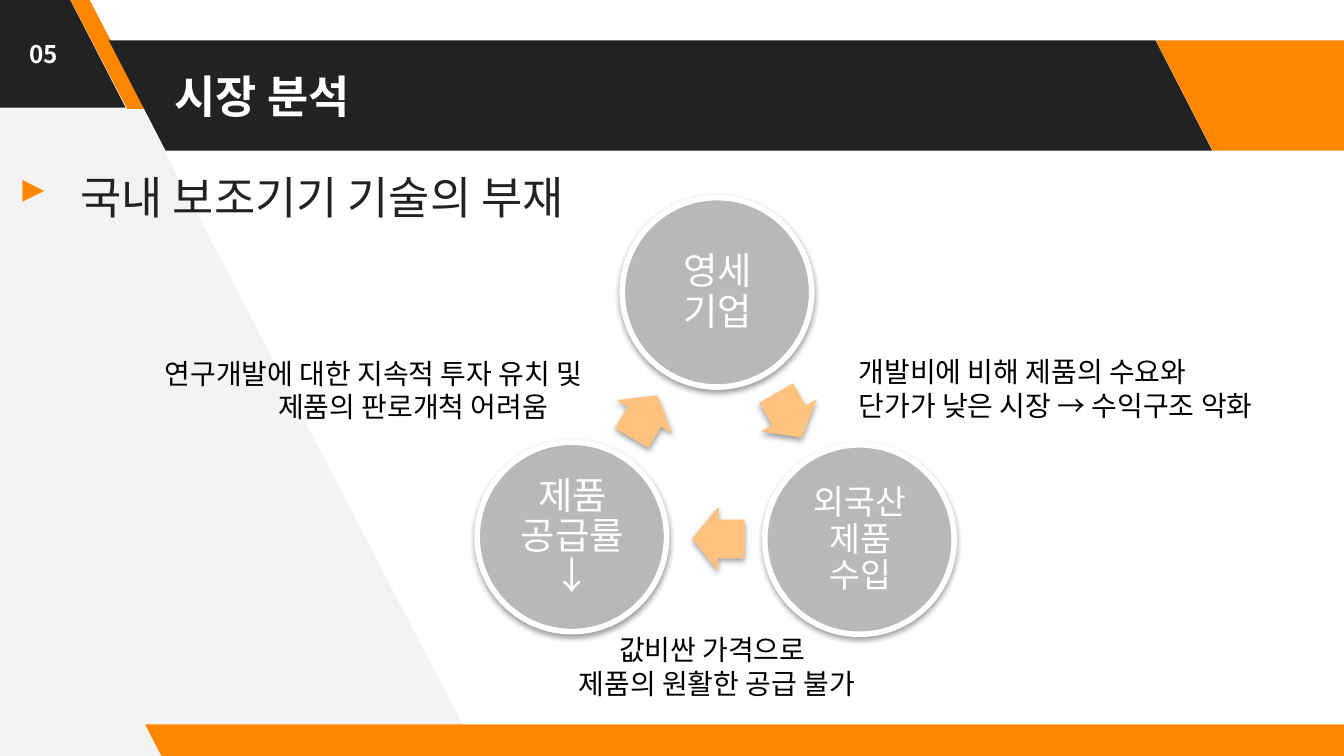
from lxml import etree
from pptx import Presentation, util as u
from pptx.dml.color import RGBColor
from pptx.enum import shapes, text
from pptx.oxml.ns import qn

PX = 4572  # 200 px to the inch
FONT = "Noto Sans CJK KR"
COLORS = {"dark": "222222", "orange": "FF8700", "peach": "FFC37F", "grey": "B8B8B8",
          "pale": "F3F3F3", "white": "FFFFFF", "black": "000000"}

deck = Presentation()
deck.slide_width, deck.slide_height = 2000 * PX, 1125 * PX
slide = deck.slides.add_slide(deck.slide_layouts[6])


def add_figure(kind, box, color, shadow=False):
    figure = slide.shapes.add_shape(kind, *[v * PX for v in box])
    figure.shadow.inherit = False
    figure.fill.solid()
    figure.fill.fore_color.rgb = RGBColor.from_string(COLORS[color])
    figure.line.fill.background()
    if shadow:
        effects = figure._element.spPr.find(qn("a:effectLst"))
        outer = etree.SubElement(effects, qn("a:outerShdw"), blurRad="40000", dist="20000",
                                 dir="5400000", rotWithShape="0")
        tint = etree.SubElement(outer, qn("a:srgbClr"), val=COLORS["black"])
        etree.SubElement(tint, qn("a:alpha"), val="38000")
    return figure


def add_lines(box, lines, size, color, align="LEFT", inset=(20, 20), bold=False,
              anchor="TOP", spacing=None):
    """Each line is (words, left indent, right indent)."""
    frame = slide.shapes.add_textbox(*[v * PX for v in box]).text_frame
    frame.word_wrap = True
    frame.vertical_anchor = getattr(text.MSO_ANCHOR, anchor)
    frame.margin_left = frame.margin_right = inset[0] * PX
    frame.margin_top = frame.margin_bottom = inset[1] * PX
    for i, (words, left_indent, right_indent) in enumerate(lines):
        paragraph = frame.add_paragraph() if i else frame.paragraphs[0]
        paragraph.text = words
        paragraph.alignment = getattr(text.PP_ALIGN, align)
        paragraph.line_spacing = spacing
        font = paragraph.font
        font.name, font.size, font.bold = FONT, u.Pt(size), bold
        font.color.rgb = RGBColor.from_string(COLORS[color])
        props = paragraph._p.get_or_add_pPr()
        etree.SubElement(props.find(qn("a:defRPr")), qn("a:ea"), typeface=FONT)
        props.set("marL", str(left_indent * PX))
        props.set("marR", str(right_indent * PX))
    return frame


# Pale slanted panel on the left
panel = slide.shapes.build_freeform(712, 1124, scale=PX)
panel.add_line_segments([(124, -8), (-12, -8), (-4, 1132)], close=True)
side = panel.convert_to_shape()
side.shadow.inherit = False
side.fill.solid()
side.fill.fore_color.rgb = RGBColor.from_string(COLORS["pale"])
side.line.fill.background()

# Slanted bands: number, stripe, title, title end, footer
for box, slant, color in [
    ((-198, -4, 385, 164), 0.515, "dark"),
    ((104, -2, 114, 164), 0.75, "orange"),
    ((162, 60, 1642, 164), 0.515, "dark"),
    ((1720, 60, 384, 164), 0.515, "orange"),
    ((216, 1078, 1830, 50), 0.515, "orange"),
]:
    band = add_figure(shapes.MSO_SHAPE.PARALLELOGRAM, box, color)
    band.adjustments[0] = slant
    band._element.spPr.xfrm.set("flipH", "1")

# Title, page number and topic
add_lines((240, 60, 1656, 164), [("시장 분석", 0, 0)], 24, "white", bold=True, anchor="MIDDLE")
add_lines((0, 0, 130, 160), [("05", 0, 0)], 13, "white", "CENTER", bold=True, anchor="MIDDLE")
topic_frame = add_lines((0, 232, 1048, 160), [("국내 보조기기 기술의 부재", 100, 0)], 24, "dark")
topic = topic_frame.paragraphs[0]
topic.space_before = u.Pt(6)
topic_props = topic._p.pPr
topic_props.set("indent", str(-92 * PX))
bullet_color = etree.Element(qn("a:buClr"))
etree.SubElement(bullet_color, qn("a:srgbClr"), val=COLORS["orange"])
bullet = etree.Element(qn("a:buChar"), char="▸")
for part in (bullet_color, bullet):
    topic_props.find(qn("a:defRPr")).addprevious(part)

# Cycle: each circle with its words, then the arrow that leaves it
for left, top, size, words, arrow_box, turn in [
    (926, 294, 20, "영세 기업", (1136, 570, 76, 96), 60),
    (1138, 662, 18, "외국산 제품 수입", (1030, 754, 78, 96), 180.5),
    (710, 658, 20, "제품 공급률 ↓", (922, 572, 74, 96), 300.7),
]:
    circle = add_figure(shapes.MSO_SHAPE.OVAL, (left, top, 282, 282), "grey", shadow=True)
    circle.line.color.rgb = RGBColor.from_string(COLORS["white"])
    circle.line.width = u.Pt(3)
    add_lines((left + 42, top + 42, 200, 200), [(words, 0, 0)], size, "white", "CENTER",
              (6, 6), anchor="MIDDLE", spacing=0.9)
    arrow = add_figure(shapes.MSO_SHAPE.RIGHT_ARROW, arrow_box, "peach", shadow=True)
    arrow.adjustments[0], arrow.adjustments[1] = 0.6, 0.5
    arrow.rotation = turn

# Captions beside the arrows
for box, align, lines in [
    ((1258, 518, 742, 122), "LEFT",
     [("개발비에 비해 제품의 수요와", 0, 0), ("단가가 낮은 시장 → 수익구조 악화", 0, 0)]),
    ((796, 932, 542, 122), "CENTER",
     [("값비싼 가격으로", 0, 14), ("제품의 원활한 공급 불가", 0, 0)]),
    ((180, 520, 766, 122), "CENTER",
     [("연구개발에 대한 지속적 투자 유치 및", 0, 14), ("제품의 판로개척 어려움", 104, 0)]),
]:
    add_lines(box, lines, 15, "black", align, (20, 10))

deck.save("out.pptx")
